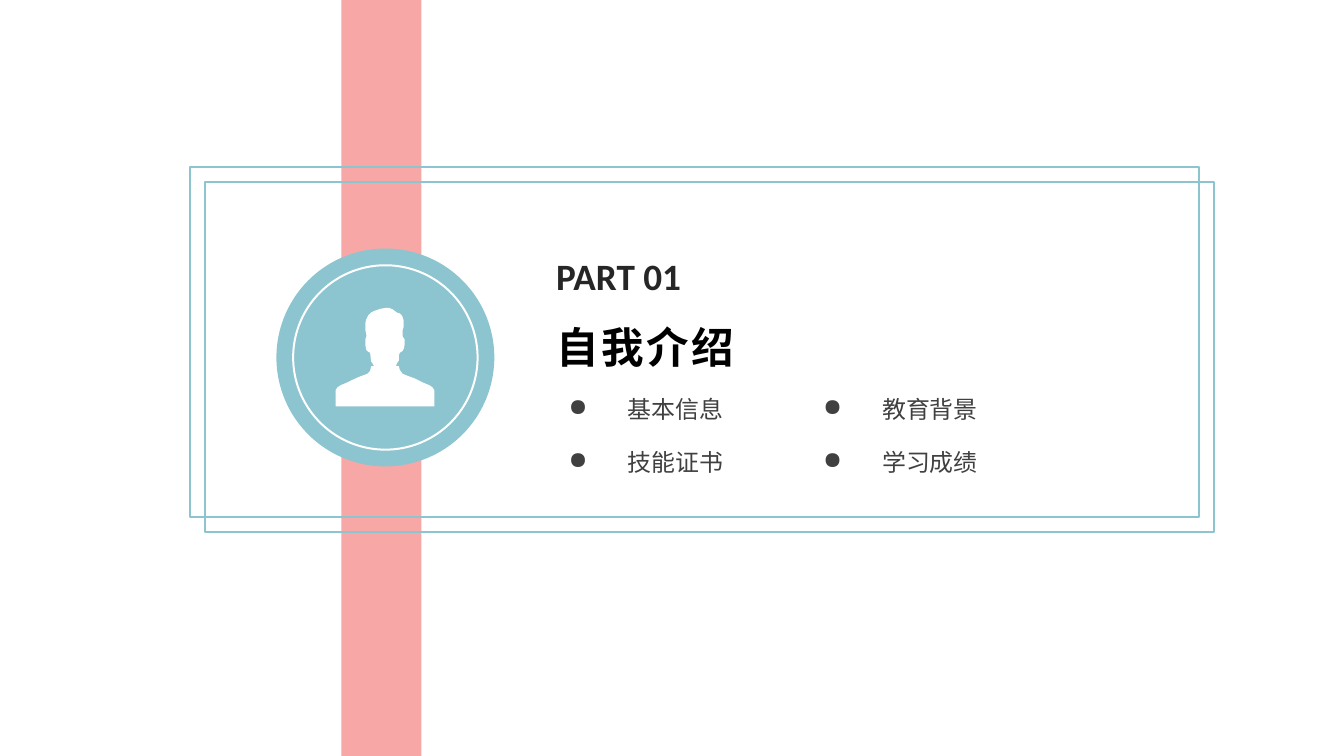
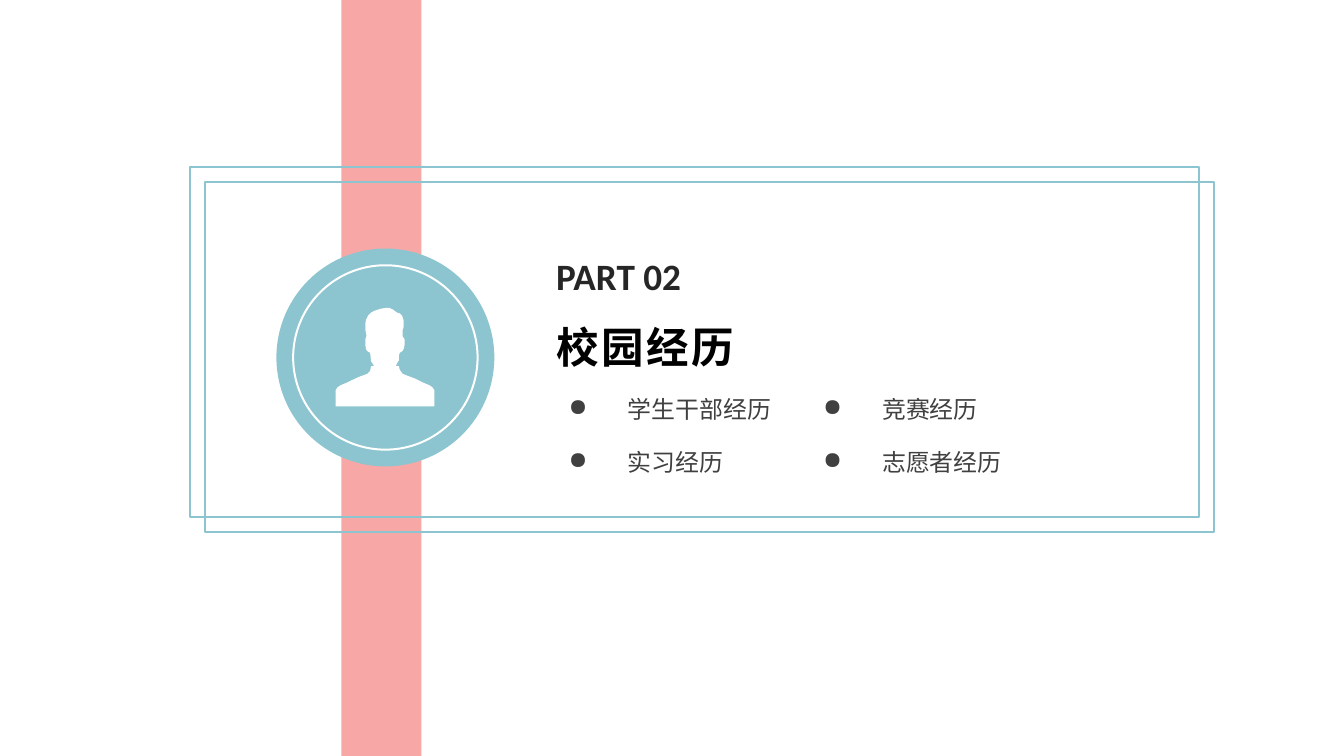
from dataclasses import dataclass

from lxml import etree
from pptx import Presentation
from pptx import util as u
from pptx.dml.color import RGBColor
from pptx.enum import lang, shapes, text
from pptx.oxml import ns

COLORS = {
    "band": "F7A8A6",
    "accent": "8CC5D0",
    "white": "FFFFFF",
    "number": "262626",
    "title": "000000",
    "topic": "404040",
}
FONT = "Calibri"
SLIDE_WIDTH, SLIDE_HEIGHT = 35.71, 20.09

BADGE_CENTER = (10.24, 9.5)
BADGE_DIAMETER, RING_DIAMETER = 5.79, 4.9

PERSON_LEFT, PERSON_TOP, PERSON_SIZE = 8.92, 8.18, 2.62
PERSON_GRID = 103
PERSON_OUTLINE = [
    # right side of the head and neck
    (70, 10), (71, 13), (71, 20), (70, 23), (70, 30), (72, 33), (72, 39),
    (71, 43), (70, 45), (67, 47), (66, 50), (66, 55), (64, 58), (63, 61),
    # shoulders
    (66, 61), (67, 65), (70, 69), (75, 71), (83, 74), (91, 78), (98, 81),
    (101, 83), (103, 86), (103, 103), (0, 103), (0, 86), (2, 83), (5, 81),
    (12, 78), (16, 76), (25, 72), (33, 69), (36, 66), (37, 61), (40, 61),
    # left side of the neck and head
    (39, 59), (37, 56), (36, 47), (34, 46), (32, 44), (31, 39), (31, 33),
    (32, 30), (32, 28), (31, 23), (31, 16), (32, 12), (34, 8),
    # hair
    (37, 5), (41, 3), (47, 1), (53, 0), (56, 0), (60, 2), (64, 5), (67, 6),
    (69, 8),
]

FRAME_LEFT, FRAME_TOP = 5.06, 4.45
FRAME_WIDTH, FRAME_HEIGHT = 26.8, 9.3
FRAME_OFFSET = 0.4

TOPIC_LEFT, TOPIC_TOP = 14.86, 10.36
TOPIC_COLUMN_STEP, TOPIC_ROW_STEP = 6.76, 1.4
TOPIC_COLUMNS = 2
TOPIC_INDENT = 1.57


@dataclass(frozen=True)
class Section:
    number: str
    title: str
    topics: tuple[str, ...]


@dataclass(frozen=True)
class TextStyle:
    size: int
    color: str
    bold: bool = False
    spacing: int = 0
    bullet: str = ""


NUMBER_STYLE = TextStyle(28, "number", bold=True)
TITLE_STYLE = TextStyle(32, "title", bold=True, spacing=2)
TOPIC_STYLE = TextStyle(18, "topic", bullet="●")

SECTIONS = [
    Section("PART 01", "自我介绍", ("基本信息", "教育背景", "技能证书", "学习成绩")),
    Section("PART 02", "校园经历", ("学生干部经历", "竞赛经历", "实习经历", "志愿者经历")),
]


def rgb(name: str) -> RGBColor:
    return RGBColor.from_string(COLORS[name])


def paint(shape, fill: str | None = None, line: str | None = None) -> None:
    shape.shadow.inherit = False
    if fill:
        shape.fill.solid()
        shape.fill.fore_color.rgb = rgb(fill)
    else:
        shape.fill.background()
    if line:
        shape.line.color.rgb = rgb(line)
        shape.line.width = u.Pt(1.5)
    else:
        shape.line.fill.background()


def add_preset(parent, kind, left: float, top: float, width: float, height: float,
               fill: str | None = None, line: str | None = None) -> None:
    shape = parent.add_shape(kind, u.Cm(left), u.Cm(top), u.Cm(width), u.Cm(height))
    paint(shape, fill, line)


def add_text(slide, content: str, style: TextStyle,
             left: float, top: float, width: float, height: float) -> None:
    box = slide.shapes.add_textbox(u.Cm(left), u.Cm(top), u.Cm(width), u.Cm(height))
    frame = box.text_frame
    frame.word_wrap = True
    frame.auto_size = text.MSO_AUTO_SIZE.SHAPE_TO_FIT_TEXT
    paragraph = frame.paragraphs[0]
    if style.bullet:
        properties = paragraph._p.get_or_add_pPr()
        properties.set("marL", str(u.Cm(TOPIC_INDENT)))
        properties.set("indent", str(-u.Cm(TOPIC_INDENT)))
        etree.SubElement(properties, ns.qn("a:buChar")).set("char", style.bullet)
    run = paragraph.add_run()
    run.text = content
    run.font.name = FONT
    run.font.size = u.Pt(style.size)
    run.font.bold = style.bold
    run.font.color.rgb = rgb(style.color)
    run.font.language_id = lang.MSO_LANGUAGE_ID.SIMPLIFIED_CHINESE
    if style.spacing:
        run._r.get_or_add_rPr().set("spc", str(style.spacing * 100))


def add_badge(slide) -> None:
    """Draw the round badge with its ring and the person silhouette."""
    badge = slide.shapes.add_group_shape().shapes
    center_x, center_y = BADGE_CENTER
    for diameter, line in ((BADGE_DIAMETER, None), (RING_DIAMETER, "white")):
        add_preset(badge, shapes.MSO_SHAPE.OVAL, center_x - diameter / 2,
                   center_y - diameter / 2, diameter, diameter, "accent", line)
    builder = badge.build_freeform(*PERSON_OUTLINE[0], scale=u.Cm(PERSON_SIZE) / PERSON_GRID)
    builder.add_line_segments(PERSON_OUTLINE[1:], close=True)
    person = builder.convert_to_shape(u.Cm(PERSON_LEFT), u.Cm(PERSON_TOP))
    paint(person, "white")


def add_frames(slide) -> None:
    for offset in (FRAME_OFFSET, 0):
        add_preset(slide.shapes, shapes.MSO_SHAPE.RECTANGLE, FRAME_LEFT + offset,
                   FRAME_TOP + offset, FRAME_WIDTH, FRAME_HEIGHT, line="accent")


def add_section(presentation, section: Section) -> None:
    slide = presentation.slides.add_slide(presentation.slide_layouts[6])
    add_preset(slide.shapes, shapes.MSO_SHAPE.RECTANGLE, 9.07, -0.56, 2.13, 20.65, "band")
    add_badge(slide)
    add_text(slide, section.number, NUMBER_STYLE, 14.53, 6.6, 7.09, 1.45)
    add_text(slide, section.title, TITLE_STYLE, 14.53, 8.41, 10.13, 1.63)
    for index, topic in enumerate(section.topics):
        row, column = divmod(index, TOPIC_COLUMNS)
        add_text(slide, topic, TOPIC_STYLE, TOPIC_LEFT + column * TOPIC_COLUMN_STEP,
                 TOPIC_TOP + row * TOPIC_ROW_STEP, 7.09, 1.02)
    add_frames(slide)


def main() -> None:
    presentation = Presentation()
    presentation.slide_width = u.Cm(SLIDE_WIDTH)
    presentation.slide_height = u.Cm(SLIDE_HEIGHT)
    for section in SECTIONS:
        add_section(presentation, section)
    presentation.save("out.pptx")


if __name__ == "__main__":
    main()
